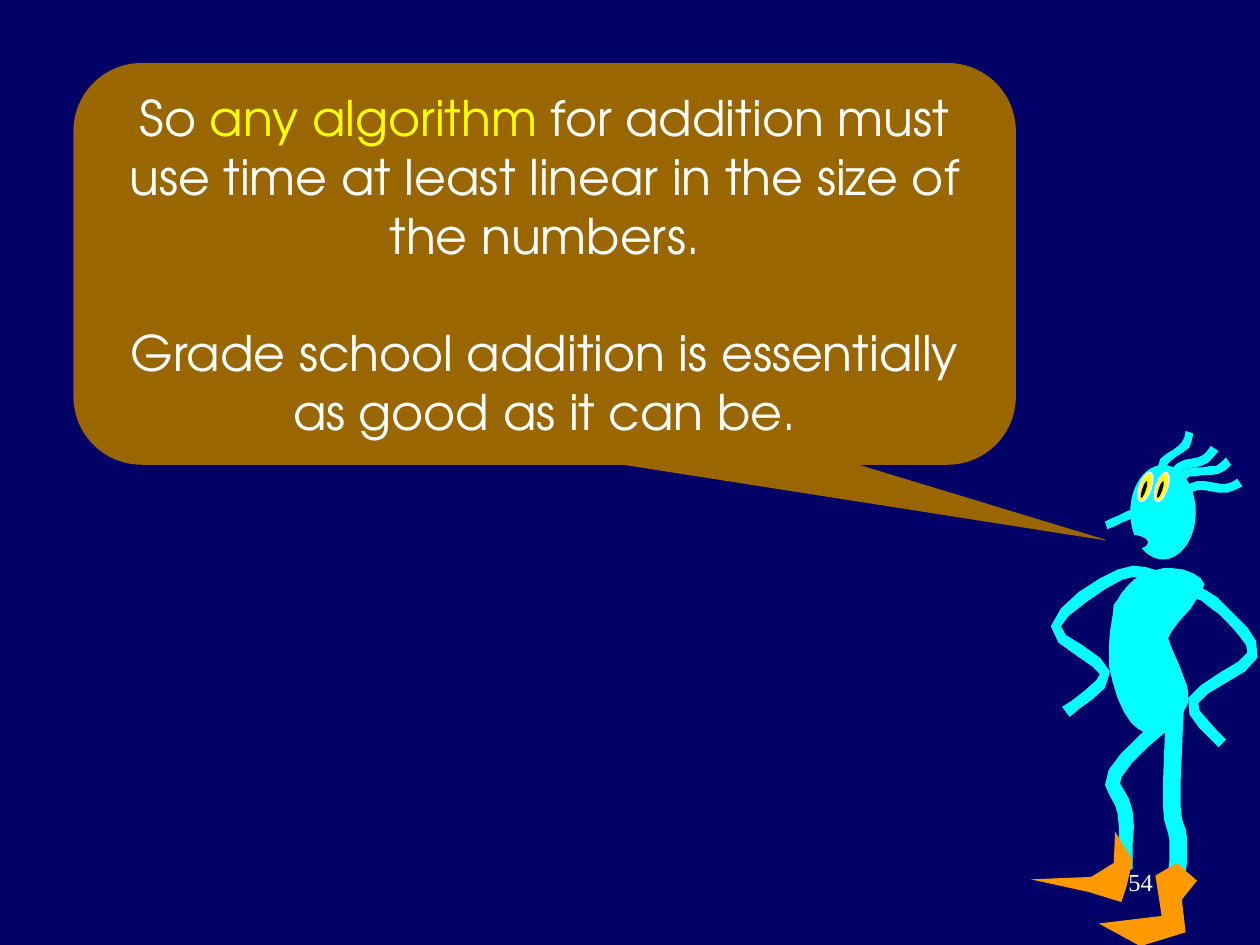
"""Build a slide with a speech callout, a cartoon figure and a page number."""
from math import atan2, cos, hypot, pi, sin

from pptx import Presentation
from pptx.dml.color import RGBColor
from pptx.enum.shapes import MSO_SHAPE as Preset
from pptx.enum.text import MSO_ANCHOR as Anchor, PP_ALIGN as Align
from pptx.util import Cm, Pt

NAVY, BROWN, CYAN, ORANGE = "000066", "996600", "00FFFF", "FF9900"
WHITE, YELLOW, BLACK = "FFFFFF", "FFFF00", "000000"
SPEECH_FONT, NUMBER_FONT = "TeX Gyre Adventor", "Times New Roman"
UNIT = Cm(0.0254)

SPEECH = [
    [("So ", WHITE), ("any algorithm", YELLOW),
     (" for addition must use time at least linear in the size of the numbers.", WHITE)],
    [("Grade school addition is essentially as good as it can be.", WHITE)],
]
PAGE_NUMBER = "54"

TORSO = [(884, 480), (900, 460), (931, 451), (956, 464), (930, 501), (929, 512),
         (942, 544), (941, 562), (923, 581), (898, 574), (880, 528)]
LIMBS = [
    (9, [(945, 467), (970, 484), (994, 520), (947, 556), (970, 590)]),
    (9, [(920, 458), (889, 456), (838, 497), (877, 534), (846, 565)]),
    (14, [(933, 556), (930, 640), (935, 665), (934, 700)]),
    (12, [(930, 568), (885, 614), (893, 645), (893, 690)]),
    (7, [(900, 407), (878, 417)]),
]
HAIRS = [((940, 390), (984, 383)), ((934, 382), (975, 366)),
         ((929, 379), (964, 356)), ((921, 376), (944, 343))]
SHOES = [
    [(917, 695), (934, 685), (950, 699), (938, 714), (941, 740), (905, 751),
     (872, 733), (922, 727)],
    [(885, 660), (899, 683), (894, 704), (890, 716), (864, 708), (818, 698),
     (866, 696), (884, 685)],
]
HEAD = (897, 369, 52, 75)
MOUTH = (877, 424, 34, 13)
EYE_LEFTS = (897, 910)
EYE_TILT = 288.6


def color(value):
    return RGBColor.from_string(value)


def paint(shape, fill, outline=None):
    shape.shadow.inherit = False
    shape.fill.solid()
    shape.fill.fore_color.rgb = color(fill)
    if outline:
        shape.line.color.rgb = color(outline)
        shape.line.width = Pt(1)
    else:
        shape.line.fill.background()


def ribbon(points, width):
    sides = [], []
    for index, (x, y) in enumerate(points):
        before = points[max(index - 1, 0)]
        after = points[min(index + 1, len(points) - 1)]
        angle = atan2(after[1] - before[1], after[0] - before[0]) + pi / 2
        for side, sign in zip(sides, (1, -1)):
            reach = sign * width / 2
            side.append((x + reach * cos(angle), y + reach * sin(angle)))
    return sides[0] + sides[1][::-1]


def smooth(points, steps=4):
    padded = [points[0], *points, points[-1]]
    curve = []
    for a, b, c, d in zip(padded, padded[1:], padded[2:], padded[3:]):
        for step in range(steps):
            t = step / steps
            curve.append(tuple(
                q + t * (r - p) / 2 + t**2 * (2 * p - 5 * q + 4 * r - s) / 2
                + t**3 * (3 * q - p - 3 * r + s) / 2
                for p, q, r, s in zip(a, b, c, d)))
    return curve + [points[-1]]


def wave(root, tip, height=3, steps=8):
    across, down = tip[0] - root[0], tip[1] - root[1]
    length = hypot(across, down)
    strand = []
    for step in range(steps + 1):
        t = step / steps
        swing = height * sin(2 * pi * t) / length
        strand.append((root[0] + t * across + swing * down,
                       root[1] + t * down - swing * across))
    return strand


def draw_outline(group, points, fill):
    builder = group.shapes.build_freeform(*points[0], scale=UNIT)
    builder.add_line_segments(points[1:], close=True)
    paint(builder.convert_to_shape(), fill)


def draw_oval(group, box, fill, outline=None, tilt=0):
    shape = group.shapes.add_shape(Preset.OVAL, *(value * UNIT for value in box))
    shape.rotation = tilt
    paint(shape, fill, outline)


def draw_figure(slide):
    group = slide.shapes.add_group_shape()
    draw_outline(group, smooth(TORSO + TORSO[:1]), CYAN)
    for width, points in LIMBS:
        draw_outline(group, ribbon(smooth(points), width), CYAN)
    draw_oval(group, HEAD, CYAN)
    for root, tip in HAIRS:
        draw_outline(group, ribbon(wave(root, tip), 7), CYAN)
    for left in EYE_LEFTS:
        draw_oval(group, (left, 382, 24, 9), YELLOW, WHITE, EYE_TILT)
        draw_oval(group, (left + 4, 387, 14, 3), BLACK, tilt=EYE_TILT)
    draw_oval(group, MOUTH, NAVY)
    for points in SHOES:
        draw_outline(group, points, ORANGE)


def draw_speech(slide):
    callout = slide.shapes.add_shape(
        Preset.ROUNDED_RECTANGULAR_CALLOUT, Cm(1.48), Cm(1.27), Cm(19), Cm(8.1))
    for index, value in enumerate((0.6, 0.69, 0.17)):
        callout.adjustments[index] = value
    paint(callout, BROWN)
    frame = callout.text_frame
    frame.word_wrap = True
    frame.vertical_anchor = Anchor.MIDDLE
    for index, runs in enumerate(SPEECH):
        paragraph = frame.add_paragraph() if index else frame.paragraphs[0]
        paragraph.alignment = Align.CENTER
        paragraph.font.name, paragraph.font.size = SPEECH_FONT, Pt(28)
        if index:
            paragraph.space_before = Pt(33.6)
        for text, run_color in runs:
            run = paragraph.add_run()
            run.text = text
            run.font.color.rgb = color(run_color)


def draw_page_number(slide):
    frame = slide.shapes.add_textbox(Cm(18.2), Cm(17.35), Cm(5.29), Cm(1.27)).text_frame
    frame.word_wrap = True
    paragraph = frame.paragraphs[0]
    paragraph.text = PAGE_NUMBER
    paragraph.alignment = Align.RIGHT
    paragraph.font.name, paragraph.font.size = NUMBER_FONT, Pt(14)
    paragraph.font.color.rgb = color(WHITE)


def main():
    presentation = Presentation()
    presentation.slide_width, presentation.slide_height = Cm(25.4), Cm(19.05)
    slide = presentation.slides.add_slide(presentation.slide_layouts[6])
    slide.background.fill.solid()
    slide.background.fill.fore_color.rgb = color(NAVY)
    draw_speech(slide)
    draw_figure(slide)
    draw_page_number(slide)
    presentation.save("out.pptx")


if __name__ == "__main__":
    main()
